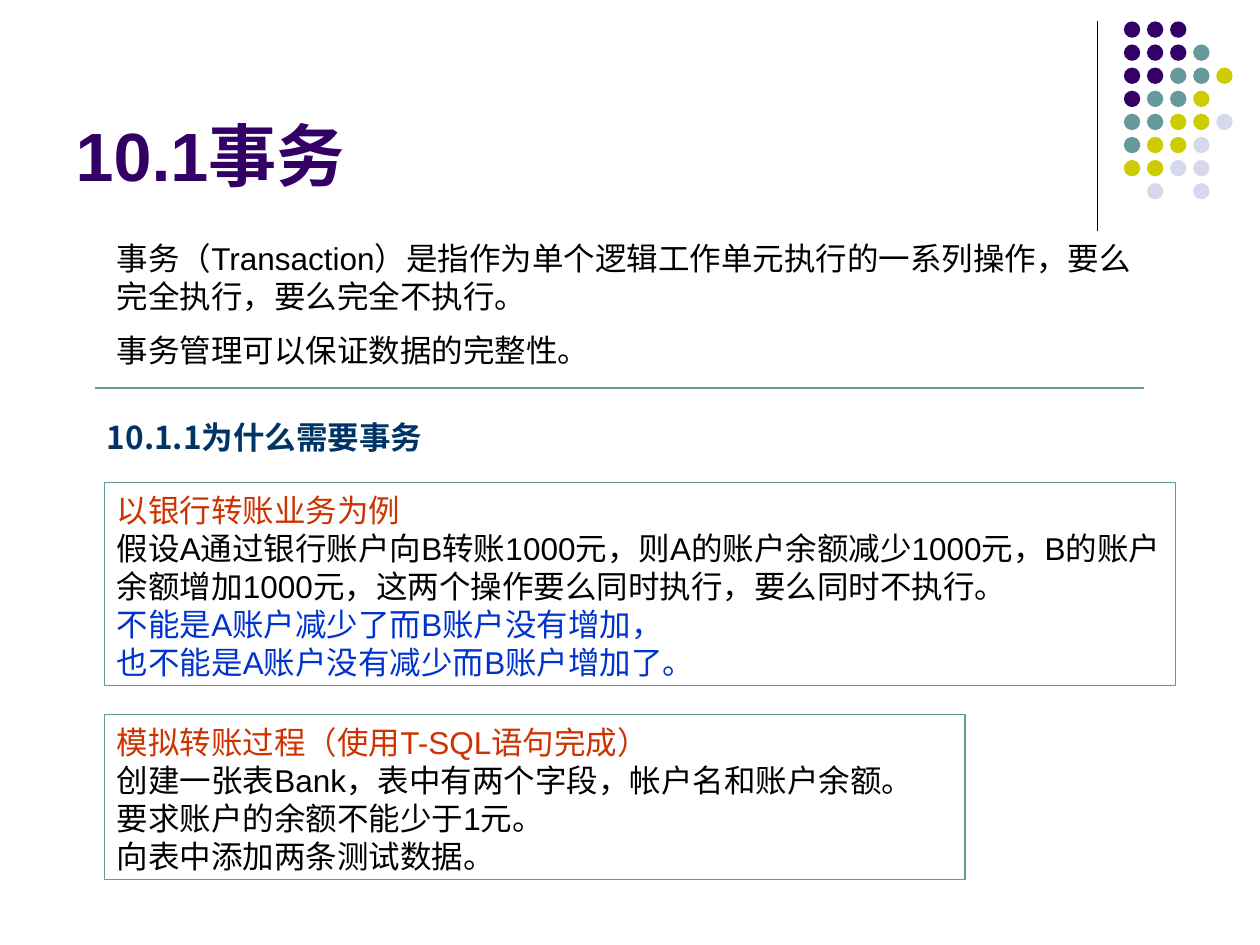
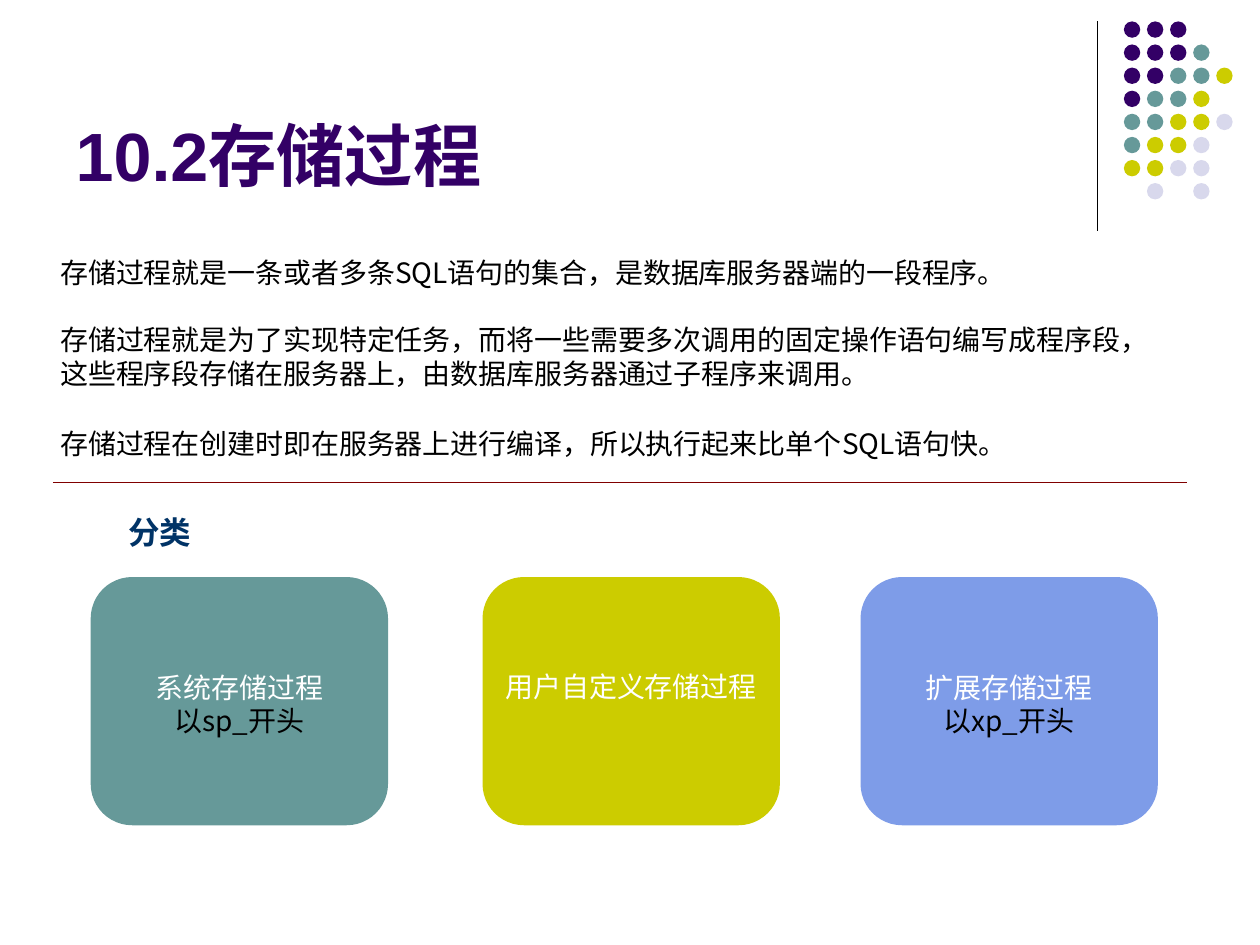
from lxml.etree import SubElement
from pptx import Presentation
from pptx.dml.color import RGBColor
from pptx.enum.shapes import MSO_CONNECTOR, MSO_SHAPE as SHAPE
from pptx.enum.text import MSO_ANCHOR as ANCHOR, MSO_AUTO_SIZE, PP_ALIGN as ALIGN
from pptx.oxml.ns import qn
from pptx.util import Inches, Pt

COLORS = {
    "black": "000000", "white": "FFFFFF", "purple": "330066", "teal": "669999",
    "lime": "CCCC00", "lavender": "D8D8EC", "navy": "003366", "red": "CC3300",
    "blue": "0033CC", "maroon": "800000", "sky": "7E9CE8",
}
LATIN = "Arial"
CHINESE = "Noto Sans CJK SC"
DOT_COLORS = {"P": "purple", "T": "teal", "L": "lime", "V": "lavender"}
DOT_ROWS = ["PPP", "PPPT", "PPTTL", "PTTL", "TTLLV", "TLLV", "LLVV", " V V"]


def rgb(name):
    return RGBColor.from_string(COLORS[name])


def write_text(frame, paragraphs, size=18, font=LATIN, color="black", bold=False,
               align=ALIGN.LEFT, anchor=ANCHOR.TOP, wrap=True, bottom=0.03):
    frame.auto_size = MSO_AUTO_SIZE.NONE
    frame.word_wrap = wrap
    frame.vertical_anchor = anchor
    frame.margin_left = frame.margin_right = Inches(0.1)
    frame.margin_top, frame.margin_bottom = Inches(0.07), Inches(bottom)
    for index, (text, *options) in enumerate(paragraphs):
        para = frame.paragraphs[0] if index == 0 else frame.add_paragraph()
        look = options[0] if options else {}
        para.alignment = align
        para.line_spacing = Pt(size * 1.2)
        para.space_before = Pt(look.get("before", 0))
        span = para.add_run()
        span.text = text
        span.font.size = Pt(size)
        span.font.bold = bold
        span.font.color.rgb = rgb(look.get("color", color))
        span.font.name = font
        east_asian = SubElement(span.font._element, qn("a:ea"))
        east_asian.set("typeface", CHINESE)


def add_text(page, area, paragraphs, **text_format):
    box = page.shapes.add_textbox(*map(Inches, area))
    write_text(box.text_frame, paragraphs, **text_format)


def add_panel(page, kind, area, fill=None, line=None):
    panel = page.shapes.add_shape(kind, *map(Inches, area))
    panel.shadow.inherit = False
    if fill:
        panel.fill.solid()
        panel.fill.fore_color.rgb = rgb(fill)
    else:
        panel.fill.background()
    if line:
        panel.line.color.rgb = rgb(line)
        panel.line.width = Pt(0.75)
    else:
        panel.line.fill.background()
    return panel


def add_framed_text(page, area, paragraphs):
    panel = add_panel(page, SHAPE.RECTANGLE, area, line="teal")
    write_text(panel.text_frame, paragraphs)


def add_card(page, left, fill, paragraphs, bottom=0.03):
    area = (left, 4.58, 2.36, 1.97)
    card = add_panel(page, SHAPE.FLOWCHART_ALTERNATE_PROCESS, area, fill=fill)
    write_text(card.text_frame, paragraphs, size=16, font=CHINESE,
               align=ALIGN.CENTER, anchor=ANCHOR.MIDDLE, wrap=False, bottom=bottom)


def add_rule(page, start, end, color):
    rule = page.shapes.add_connector(MSO_CONNECTOR.STRAIGHT, *map(Inches, start + end))
    rule.line.color.rgb = rgb(color)
    rule.line.width = Pt(0.75)
    SubElement(rule._element.spPr, qn("a:effectLst"))


def add_dots(page):
    pitch = 0.55 / 3
    for row, codes in enumerate(DOT_ROWS):
        for column, code in enumerate(codes):
            if code in DOT_COLORS:
                area = (8.92 + column * pitch, 0.17 + row * pitch, 0.13, 0.13)
                add_panel(page, SHAPE.OVAL, area, fill=DOT_COLORS[code])


def add_page(deck, title):
    page = deck.slides.add_slide(deck.slide_layouts[5])
    heading = page.shapes.title
    heading.left, heading.top, heading.width, heading.height = map(
        Inches, (0.5, 0.13, 8.25, 1.42))
    write_text(heading.text_frame, [(title,)], size=39, color="purple", bold=True,
               anchor=ANCHOR.BOTTOM, bottom=0)
    add_rule(page, (8.71, 0.17), (8.71, 1.83), "black")
    add_dots(page)
    return page


def build_transactions(deck):
    page = add_page(deck, "10.1事务")
    add_text(page, (0.83, 1.83, 8.33, 1.15), [
        ("事务（Transaction）是指作为单个逻辑工作单元执行的一系列操作，要么完全执行，要么完全不执行。",),
        ("事务管理可以保证数据的完整性。", {"before": 9}),
    ])
    add_rule(page, (0.75, 3.08), (9.08, 3.08), "teal")
    add_text(page, (0.75, 3.25, 2.79, 0.4), [("10.1.1为什么需要事务",)], font=CHINESE,
             color="navy", bold=True, anchor=ANCHOR.MIDDLE, wrap=False)
    add_framed_text(page, (0.83, 3.83, 8.5, 1.61), [
        ("以银行转账业务为例", {"color": "red"}),
        ("假设A通过银行账户向B转账1000元，则A的账户余额减少1000元，B的账户余额增加1000元，"
         "这两个操作要么同时执行，要么同时不执行。",),
        ("不能是A账户减少了而B账户没有增加，", {"color": "blue"}),
        ("也不能是A账户没有减少而B账户增加了。", {"color": "blue"}),
    ])
    add_framed_text(page, (0.83, 5.67, 6.83, 1.31), [
        ("模拟转账过程（使用T-SQL语句完成）", {"color": "red"}),
        ("创建一张表Bank，表中有两个字段，帐户名和账户余额。",),
        ("要求账户的余额不能少于1元。",),
        ("向表中添加两条测试数据。",),
    ])


def build_procedures(deck):
    page = add_page(deck, "10.2存储过程")
    add_text(page, (0.38, 1.95, 8.87, 1.74), [
        ("存储过程就是一条或者多条SQL语句的集合，是数据库服务器端的一段程序。",),
        ("存储过程就是为了实现特定任务，而将一些需要多次调用的固定操作语句编写成程序段，", {"before": 19}),
        ("这些程序段存储在服务器上，由数据库服务器通过子程序来调用。",),
        ("存储过程在创建时即在服务器上进行编译，所以执行起来比单个SQL语句快。", {"before": 21}),
    ], size=16, font=CHINESE, anchor=ANCHOR.MIDDLE, wrap=False)
    add_rule(page, (0.42, 3.83), (9.42, 3.83), "maroon")
    add_text(page, (0.92, 4, 0.75, 0.4), [("分类",)], color="navy", bold=True)
    white = {"color": "white"}
    add_card(page, 0.72, "teal", [("系统存储过程", white), ("以sp_开头",)])
    add_card(page, 3.83, "lime", [("用户自定义存储过程", white)], bottom=0.3)
    add_card(page, 6.83, "sky", [("扩展存储过程", white), ("以xp_开头",)])


def main():
    deck = Presentation()
    deck.slide_width, deck.slide_height = Inches(10), Inches(7.5)
    build_transactions(deck)
    build_procedures(deck)
    deck.save("out.pptx")


if __name__ == "__main__":
    main()
